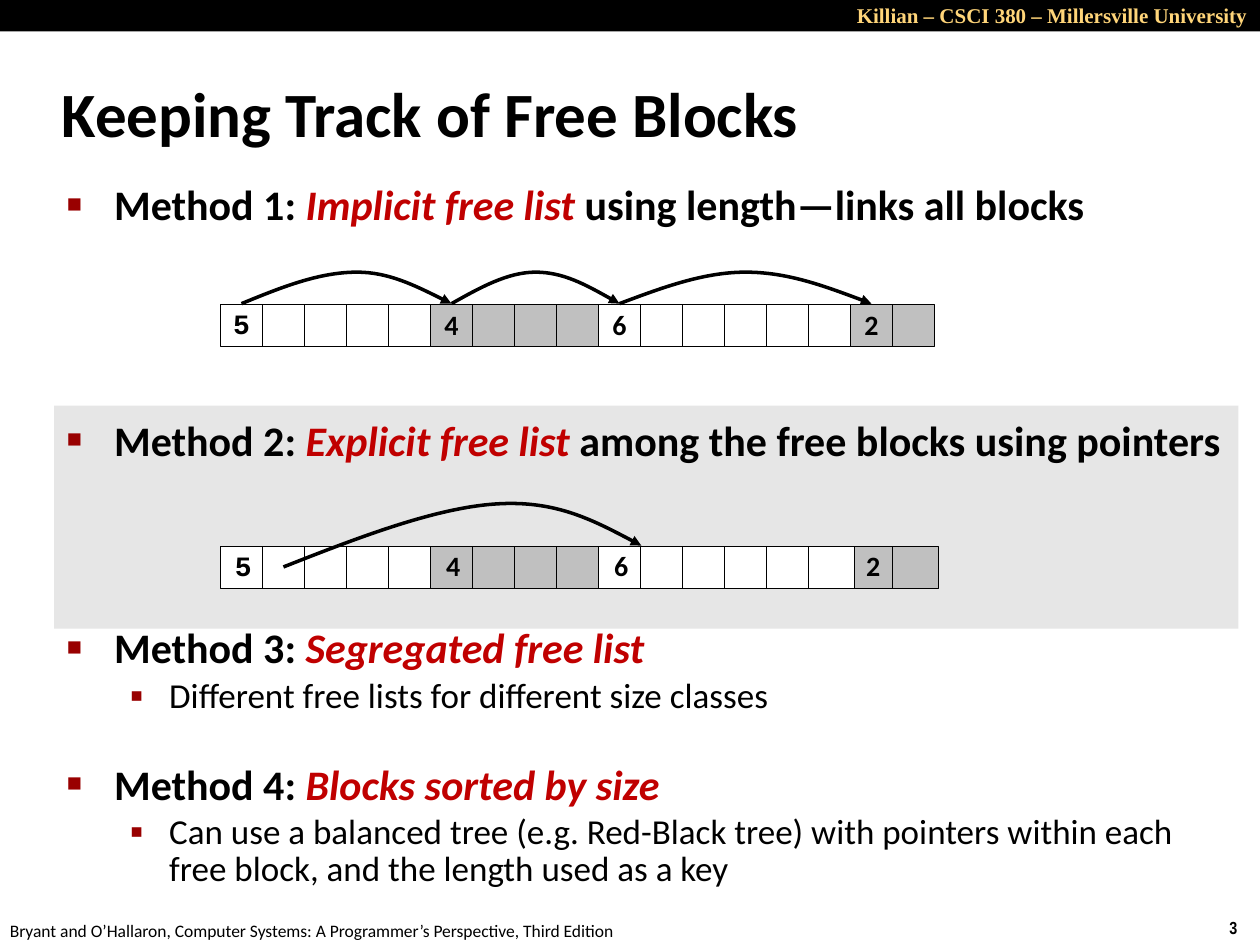
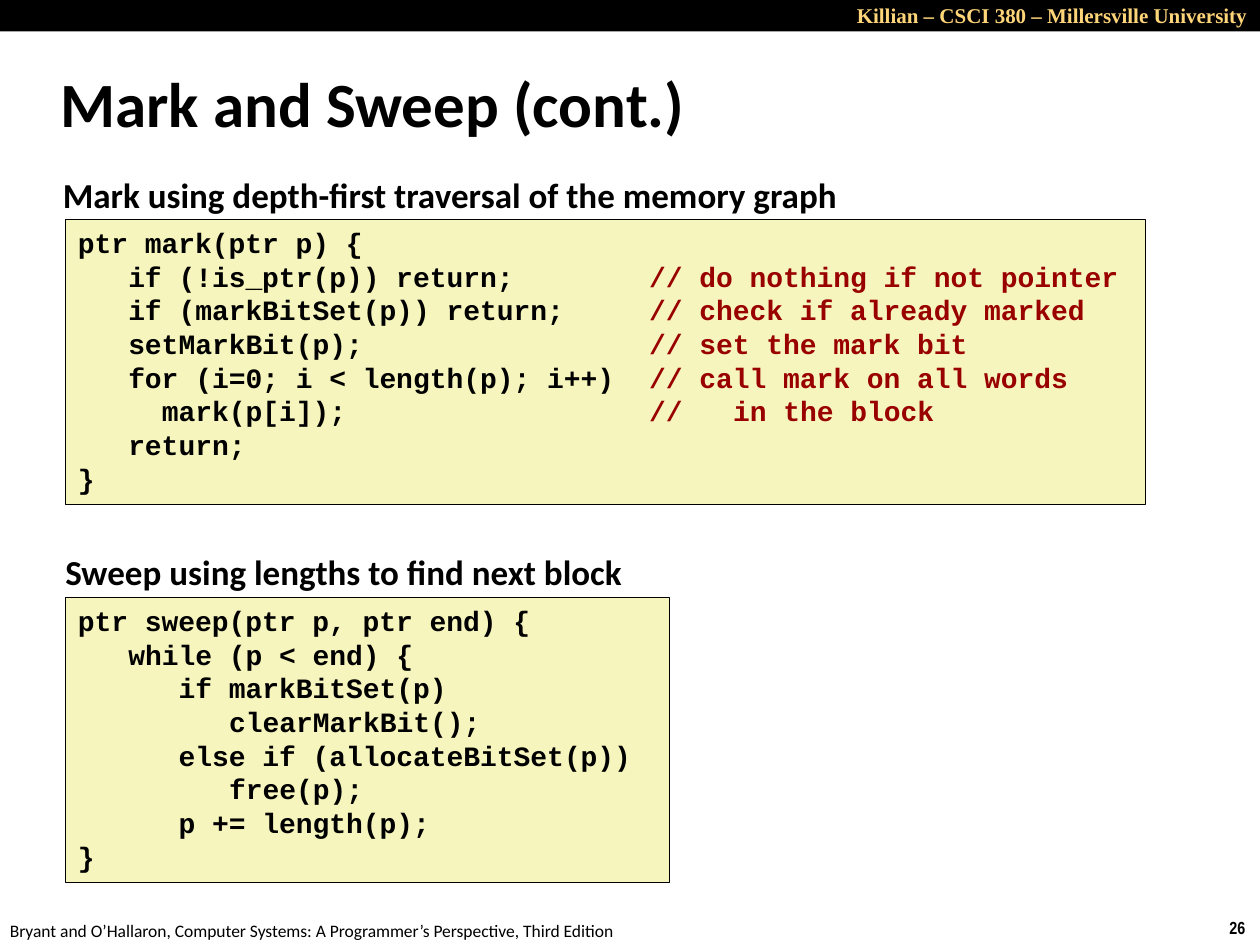
from dataclasses import dataclass, replace

from lxml import etree
from pptx import Presentation
from pptx.dml.color import RGBColor
from pptx.enum import shapes, text
from pptx.oxml import ns
from pptx.util import Pt

BLACK, WHITE, RED, DARK_RED = "000000", "FFFFFF", "C00000", "990000"
GOLD, PANEL, ALLOCATED, CODE_FILL = "FFD579", "E6E6E6", "C0C0C0", "F6F5BD"
WORD = 24  # side of one memory word, in points
CHAR = 9.6  # advance of one code character
COMMENT_COLUMN = 34


@dataclass(frozen=True)
class Style:
    size: float
    face: str = "Calibri"
    color: str = BLACK
    bold: bool = True
    italic: bool = False


TITLE = Style(36)
METHOD = Style(24)
TERM = replace(METHOD, color=RED, italic=True)
DETAIL = Style(20, bold=False)
HEADING = Style(20)
CODE = Style(16, "Courier New")
COMMENT = replace(CODE, color=DARK_RED)
HEADER = Style(12, "Times New Roman", GOLD)
NUMBER = Style(10, "Arial Narrow")
FOOTER = Style(10, bold=False)


@dataclass(frozen=True)
class Bullet:
    spans: list[tuple[str, Style]]
    before: float
    spacing: float
    level: int = 0


@dataclass(frozen=True)
class Block:
    start: int
    words: int
    allocated: bool = False
    face: str = "Calibri"
    spacing: float = 0.98


@dataclass(frozen=True)
class CodeLine:
    indent: int
    code: str
    comment: str = ""


BULLETS = [
    Bullet([("Method 1: ", METHOD), ("Implicit free list ", TERM),
            ("using length—links all blocks", METHOD)], 0, 1.0),
    Bullet([("Method 2: ", METHOD), ("Explicit free list ", TERM),
            ("among the free blocks using pointers", METHOD)], 105.6, 1.0),
    Bullet([("Method 3: ", METHOD), ("Segregated free list", TERM)], 94.6, 0.83),
    Bullet([("Different free lists for different size classes", DETAIL)], 4, 0.88, 1),
    Bullet([("Method 4: ", METHOD), ("Blocks sorted by size", TERM)], 29, 0.83),
    Bullet([("Can use a balanced tree (e.g. Red-Black tree) with pointers within each "
             "free block, and the length used as a key", DETAIL)], 4, 0.88, 1),
]

# The block of six comes last so that its head lies over its neighbour.
HEAP = [
    Block(0, 5, face="Courier New", spacing=0.94),
    Block(5, 4, allocated=True),
    Block(15, 2, allocated=True),
    Block(9, 6),
]

MARK = [
    CodeLine(0, "ptr mark(ptr p) {"),
    CodeLine(3, "if (!is_ptr(p)) return;", "// do nothing if not pointer"),
    CodeLine(3, "if (markBitSet(p)) return;", "// check if already marked"),
    CodeLine(3, "setMarkBit(p);", "// set the mark bit"),
    CodeLine(3, "for (i=0; i < length(p); i++)", "// call mark on all words"),
    CodeLine(5, "mark(p[i]);", "//\tin the block"),
    CodeLine(3, "return;"),
    CodeLine(0, "}"),
]

SWEEP = [
    CodeLine(0, "ptr sweep(ptr p, ptr end) {"),
    CodeLine(3, "while (p < end) {"),
    CodeLine(6, "if markBitSet(p)"),
    CodeLine(9, "clearMarkBit();"),
    CodeLine(6, "else if (allocateBitSet(p))"),
    CodeLine(9, "free(p);"),
    CodeLine(6, "p += length(p);"),
    CodeLine(0, "}"),
]


def rgb(color: str) -> RGBColor:
    return RGBColor.from_string(color)


def add_xml(parent, tag: str, **attributes):
    return etree.SubElement(parent, ns.qn(tag), attributes)


def set_font(font, style: Style) -> None:
    font.name, font.size = style.face, Pt(style.size)
    font.bold, font.italic = style.bold, style.italic
    font.color.rgb = rgb(style.color)


def write(para, *spans: tuple[str, Style]) -> None:
    """Fill a paragraph; its first span gives the paragraph font."""
    set_font(para.font, spans[0][1])
    for words, style in spans:
        span = para.add_run()
        span.text = words
        set_font(span.font, style)


def paragraphs(frame, items):
    """Pair each item with a paragraph, reusing the empty first one."""
    for index, item in enumerate(items):
        yield (frame.add_paragraph() if index else frame.paragraphs[0]), item


def place(box, left: float, top: float, width: float, height: float) -> None:
    box.left, box.top, box.width, box.height = map(Pt, (left, top, width, height))


def add_rectangle(page, at, fill: str, outlined: bool = True):
    box = page.shapes.add_shape(shapes.MSO_SHAPE.RECTANGLE, *map(Pt, at))
    box.shadow.inherit = False
    box.fill.solid()
    box.fill.fore_color.rgb = rgb(fill)
    if outlined:
        box.line.color.rgb, box.line.width = rgb(BLACK), Pt(0.25)
    else:
        box.line.fill.background()
    return box


def add_label(page, at, words: str, style: Style, wrap: bool = True,
              align=text.PP_ALIGN.LEFT) -> None:
    frame = page.shapes.add_textbox(*map(Pt, at)).text_frame
    frame.word_wrap = wrap
    frame.paragraphs[0].alignment = align
    write(frame.paragraphs[0], (words, style))


def add_page(deck, layout: int, number: int):
    """Add a slide with the shared header band, number and footer."""
    page = deck.slides.add_slide(deck.slide_layouts[layout])
    add_rectangle(page, (0, 0, 720, 18), BLACK, outlined=False)
    add_label(page, (396, -2.16, 324, 21.6), "Killian – CSCI 380 – Millersville University",
              HEADER, align=text.PP_ALIGN.RIGHT)
    add_label(page, (695.5, 520.56, 24.5, 19.4), str(number), NUMBER, wrap=False)
    add_label(page, (-1.44, 522, 365.8, 19.4),
              "Bryant and O’Hallaron, Computer Systems: A Programmer’s Perspective, "
              "Third Edition", FOOTER, wrap=False)
    return page


def set_title(page, at, words: str, spacing: float = 1.0) -> None:
    title = page.shapes.title
    place(title, *at)
    frame = title.text_frame
    frame.auto_size = text.MSO_AUTO_SIZE.NONE
    frame.vertical_anchor = text.MSO_ANCHOR.MIDDLE
    para = frame.paragraphs[0]
    para.alignment, para.line_spacing = text.PP_ALIGN.LEFT, spacing
    write(para, (words, TITLE))


def fill_bullets(body, bullets: list[Bullet]) -> None:
    frame = body.text_frame
    frame.auto_size = text.MSO_AUTO_SIZE.NONE
    frame.vertical_anchor = text.MSO_ANCHOR.TOP
    for para, bullet in paragraphs(frame, bullets):
        para.level = bullet.level
        para.space_before, para.line_spacing = Pt(bullet.before), bullet.spacing
        para.space_after = Pt(0)
        margin, hang, size, mark = [(27, 27, 60, "■"), (58.5, 22.5, 110, "▪")][bullet.level]
        properties = para._p.get_or_add_pPr()
        properties.set("marL", str(Pt(margin)))
        properties.set("indent", str(-Pt(hang)))
        add_xml(add_xml(properties, "a:buClr"), "a:srgbClr", val=DARK_RED)
        add_xml(properties, "a:buSzPct", val=str(size * 1000))
        add_xml(properties, "a:buChar", char=mark)
        write(para, *bullet.spans)


def add_heap(page, left: float, top: float, word_width: float) -> None:
    """Draw the row of memory words, each block headed by its length."""
    for block in HEAP:
        fill = ALLOCATED if block.allocated else WHITE
        for word in range(block.words):
            x = left + (block.start + word) * WORD
            cell = add_rectangle(page, (x, top, word_width, WORD), fill)
            if word == 0:
                frame = cell.text_frame
                frame.word_wrap = False
                frame.vertical_anchor = text.MSO_ANCHOR.MIDDLE
                para = frame.paragraphs[0]
                para.alignment = text.PP_ALIGN.CENTER
                para.line_spacing = block.spacing
                write(para, (str(block.words), Style(16, block.face)))


def add_arrow(page, points: list[tuple[float, float]]) -> None:
    """Draw a curved arrow from a start point and triples of Bézier points."""
    start, *rest = [(Pt(x), Pt(y)) for x, y in points]
    builder = page.shapes.build_freeform(*start)
    builder.add_line_segments(rest, close=False)
    arrow = builder.convert_to_shape()
    arrow.shadow.inherit = False
    arrow.fill.background()
    arrow.line.color.rgb, arrow.line.width = rgb(BLACK), Pt(2)
    add_xml(arrow.line._get_or_add_ln(), "a:tailEnd", type="triangle")
    segments = list(arrow._element.iter(ns.qn("a:lnTo")))
    outline = segments[0].getparent()
    for first in range(0, len(segments), 3):
        curve = add_xml(outline, "a:cubicBezTo")
        for segment in segments[first:first + 3]:
            curve.append(segment[0])
            outline.remove(segment)


def hop(start: float, end: float, base: float, peak: float = 0.5) -> list[tuple[float, float]]:
    """Points of an arch that is highest at the given share of its span."""
    rise = 18
    rest = (1 - peak) / 3
    shares = [0, peak / 3, 2 * peak / 3, peak, peak + rest, peak + 2 * rest, 1]
    heights = [0, rise / 2, rise, rise, rise, rise / 2, 0]
    return [(start + share * (end - start), base - height)
            for share, height in zip(shares, heights)]


def add_code(page, at, lines: list[CodeLine]) -> None:
    box = add_rectangle(page, at, CODE_FILL)
    frame = box.text_frame
    frame.word_wrap = True
    frame.vertical_anchor = text.MSO_ANCHOR.TOP
    for para, line in paragraphs(frame, lines):
        para.alignment, para.line_spacing = text.PP_ALIGN.LEFT, Pt(19.25)
        stops = [line.indent] if line.indent else []
        spans = [("\t" * len(stops) + line.code, CODE)]
        if line.comment:
            stops += [COMMENT_COLUMN, COMMENT_COLUMN + 5]
            spans.append(("\t" + line.comment, COMMENT))
        if stops:
            tabs = add_xml(para._p.get_or_add_pPr(), "a:tabLst")
            for column in stops:
                add_xml(tabs, "a:tab", pos=str(Pt(column * CHAR)), algn="l")
        write(para, *spans)


def add_free_blocks(deck) -> None:
    page = add_page(deck, 1, 3)
    set_title(page, (28.08, 34.56, 597.6, 59.76), "Keeping Track of Free Blocks")
    body = page.placeholders[1]
    place(body, 30.96, 98.64, 676.8, 423.36)
    panel = add_rectangle(page, (30.96, 231.84, 676.8, 127.44), PANEL, outlined=False)
    page.shapes._spTree.insert(2, panel._element)
    fill_bullets(body, BULLETS)

    add_heap(page, 126, 174, WORD)
    heads = [126 + (start + 0.5) * WORD for start in (0, 5, 9, 15)]
    for start, end, peak in zip(heads, heads[1:], (0.55, 0.5, 0.5)):
        add_arrow(page, hop(start, end, 173.5, peak))

    add_heap(page, 126, 312, 26)
    add_arrow(page, [(162, 324), (205.9, 306.7), (249.1, 290.2), (283.7, 288),
                     (317.5, 285.8), (342, 298.8), (366.5, 311.8)])


def add_mark_and_sweep(deck) -> None:
    page = add_page(deck, 5, 26)
    set_title(page, (27.36, 38.88, 534.24, 45.36), "Mark and Sweep (cont.)", 0.87)
    add_code(page, (37.44, 125.28, 617, 162.7), MARK)
    add_label(page, (28.8, 95.76, 606, 31.7),
              "Mark using depth-first traversal of the memory graph", HEADING)
    add_label(page, (30.24, 311, 606, 31.7),
              "Sweep using lengths to find next block", HEADING)
    add_code(page, (37.44, 341.28, 344.9, 162.7), SWEEP)


def main() -> None:
    deck = Presentation()
    deck.slide_width, deck.slide_height = Pt(720), Pt(540)
    add_free_blocks(deck)
    add_mark_and_sweep(deck)
    deck.save("out.pptx")


if __name__ == "__main__":
    main()
